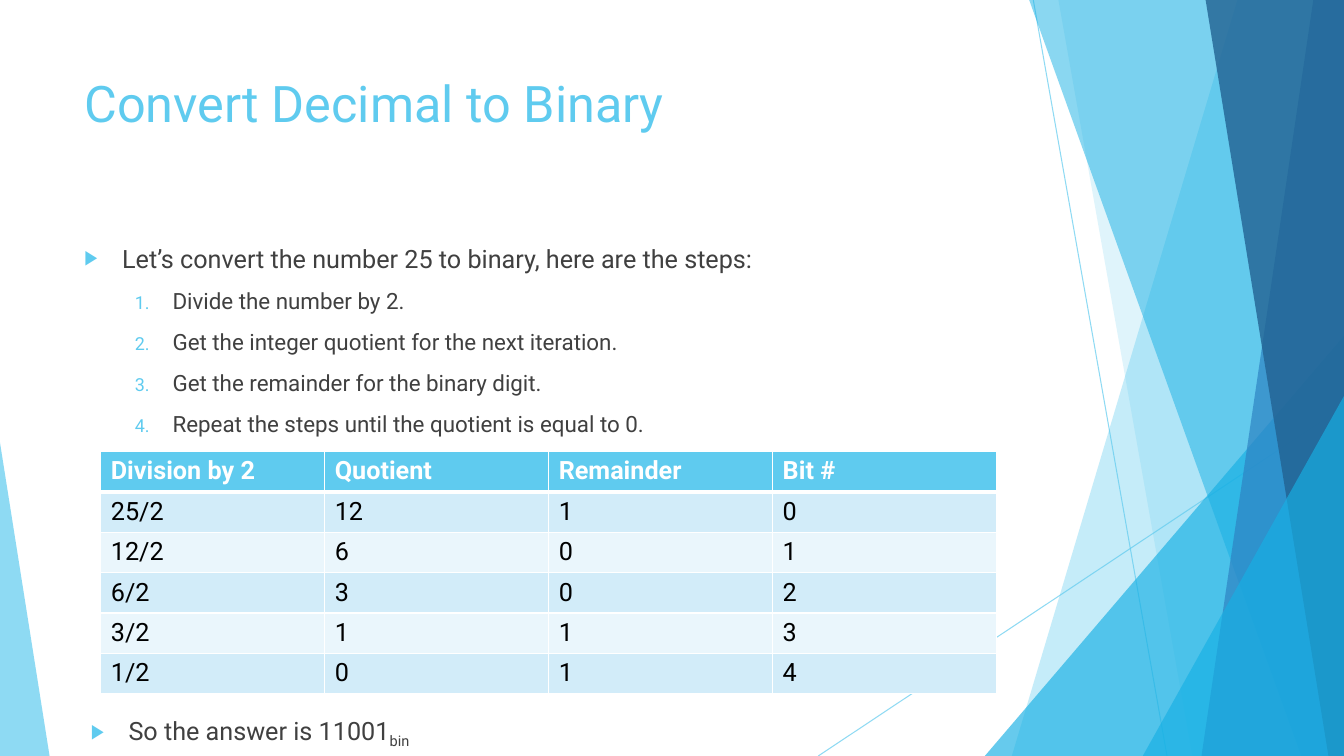
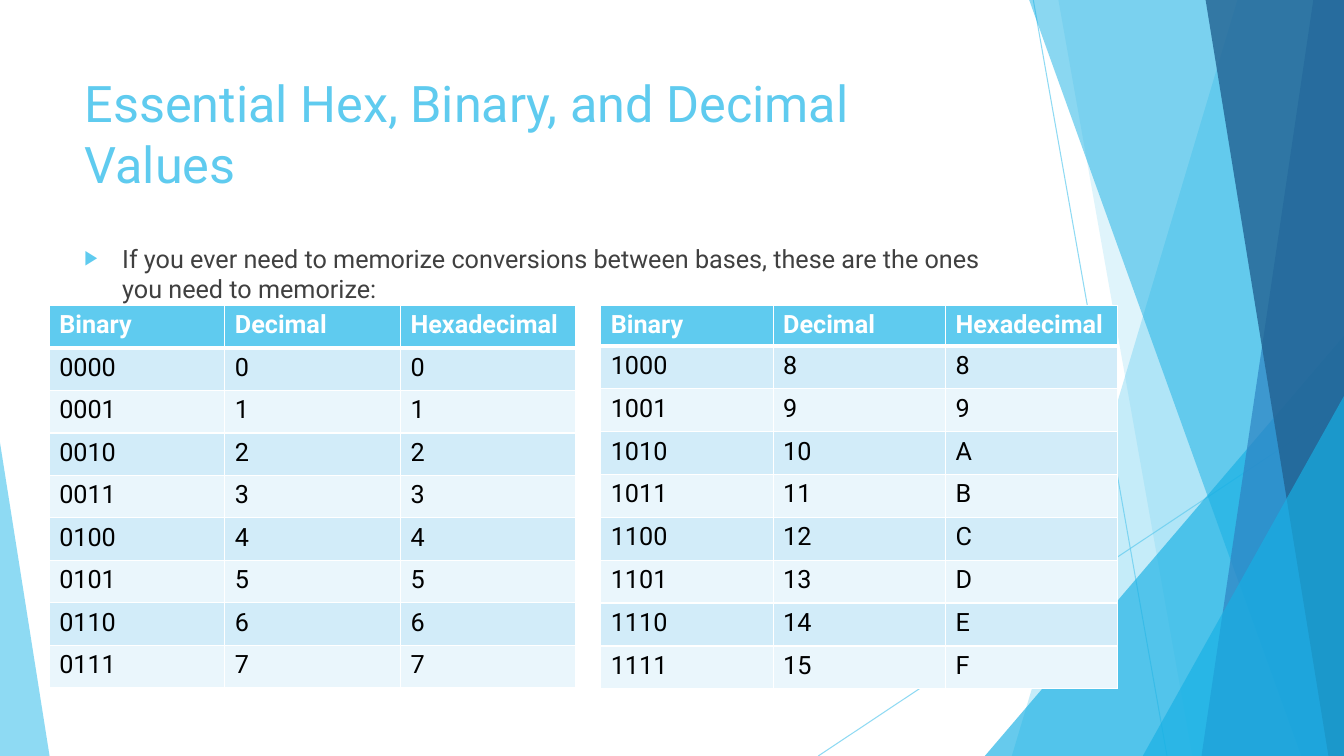
from lxml.etree import SubElement
from pptx import Presentation
from pptx.dml.color import RGBColor as RGB
from pptx.enum.shapes import MSO_CONNECTOR as CONN, MSO_SHAPE as SHAPE
from pptx.oxml.ns import qn
from pptx.util import Cm, Pt

FONT = "Roboto"
WIDTH, HEIGHT = 33.87, 19.05
LEFT, TEXT_WIDTH = 1.88, 23.88
COLORS = {
    "sky": "5FCBEF", "cyan": "17B0E4", "blue": "2E83C3", "navy": "226292",
    "text": "404040", "black": "000000", "white": "FFFFFF",
    "band_dark": "D2ECF9", "band_light": "EAF6FC",
}


def rgb(name):
    """Look up a palette colour."""
    return RGB.from_string(COLORS[name])


def set_alpha(shape, percent):
    """Make every plain colour of a shape partly transparent."""
    for clr in shape.element.iter(qn("a:srgbClr")):
        SubElement(clr, qn("a:alpha"), val=str(percent * 1000))


def style_facet(shape, color, alpha):
    """Give a backdrop shape a translucent fill and no outline."""
    shape.shadow.inherit = False
    shape.fill.solid()
    shape.fill.fore_color.rgb = rgb(color)
    shape.line.fill.background()
    set_alpha(shape, alpha)


def add_ray(s, x1, y1, x2, y2):
    """Draw a thin translucent line."""
    ray = s.shapes.add_connector(CONN.STRAIGHT, Cm(x1), Cm(y1), Cm(x2), Cm(y2))
    ray.line.color.rgb = rgb("sky")
    ray.line.width = Pt(0.75)
    SubElement(ray.element.spPr, qn("a:effectLst"))
    set_alpha(ray, 70)


def add_slab(s, top_x, bottom_x, color, alpha):
    """Fill the area from a slanted edge to the right slide border."""
    top = -0.02
    corners = [(WIDTH, top), (WIDTH, HEIGHT), (bottom_x, HEIGHT)]
    outline = s.shapes.build_freeform(Cm(top_x), Cm(top), scale=1.0)
    outline.add_line_segments([(Cm(x), Cm(y)) for x, y in corners], close=True)
    style_facet(outline.convert_to_shape(), color, alpha)


def add_corner(s, x, y, w, apex, color, alpha):
    """Add a triangle that stands on the bottom border."""
    sp = s.shapes.add_shape(SHAPE.ISOSCELES_TRIANGLE,
                            Cm(x), Cm(y), Cm(w), Cm(HEIGHT - y))
    sp.adjustments[0] = apex
    style_facet(sp, color, alpha)


def add_backdrop(s):
    """Draw the faceted decoration from back to front."""
    add_ray(s, 26.04, 0, 29.41, HEIGHT)
    add_ray(s, WIDTH, 10.24, 20.62, HEIGHT)
    add_slab(s, 31.19, 25.5, "sky", 36)
    add_slab(s, 26.67, 30.05, "sky", 20)
    add_corner(s, 24.82, 8.46, 9.05, 1, "cyan", 66)
    add_slab(s, 25.93, 32.79, "cyan", 50)
    add_slab(s, 33.1, 30.28, "blue", 70)
    add_slab(s, 30.38, 33.48, "navy", 80)
    add_corner(s, 28.8, 9.98, 5.07, 1, "cyan", 66)
    add_corner(s, 0, 11.15, 1.25, 0, "sky", 70)


def add_run(p, text, size, color, bold=False):
    """Append a styled run to a paragraph."""
    r = p.add_run()
    r.text = text
    r.font.name, r.font.size, r.font.bold = FONT, Pt(size), bold
    r.font.color.rgb = rgb(color)
    return r


def add_textbox(s, x, y, w, h):
    """Add a wrapping text box and return its text frame."""
    tf = s.shapes.add_textbox(Cm(x), Cm(y), Cm(w), Cm(h)).text_frame
    tf.word_wrap = True
    return tf


def set_bullet(p, margin, numbered=False):
    """Give a paragraph a hanging triangle or number."""
    p.space_before = Pt(10)
    pPr = p._p.get_or_add_pPr()
    pPr.set("marL", str(Cm(margin)))
    pPr.set("indent", str(Cm(-0.95)))
    SubElement(SubElement(pPr, qn("a:buClr")), qn("a:srgbClr"), val=COLORS["sky"])
    SubElement(pPr, qn("a:buSzPct"), val="80000")
    SubElement(pPr, qn("a:buFont"), typeface=FONT)
    if numbered:
        SubElement(pPr, qn("a:buAutoNum"), type="arabicPeriod")
    else:
        SubElement(pPr, qn("a:buChar"), char="▶")


def add_point(s, text, y, h, x=LEFT):
    """Add a text box that opens with a bullet point."""
    tf = add_textbox(s, x, y, TEXT_WIDTH, h)
    p = tf.paragraphs[0]
    set_bullet(p, 0.95)
    add_run(p, text, 18, "text")
    return tf


def add_steps(tf, steps):
    """Append numbered steps below a bullet point."""
    for step in steps:
        p = tf.add_paragraph()
        p.level = 1
        set_bullet(p, 2.22, numbered=True)
        add_run(p, step, 16, "text")


def set_borders(cell, bottom):
    """Draw white borders with the given bottom width in points."""
    tcPr = cell._tc.get_or_add_tcPr()
    for side, width in (("L", 1), ("R", 1), ("T", 1), ("B", bottom)):
        ln = SubElement(tcPr, qn("a:ln" + side), w=str(Pt(width)))
        fill = SubElement(ln, qn("a:solidFill"))
        SubElement(fill, qn("a:srgbClr"), val=COLORS["white"])


def add_grid(s, x, y, w, header, body, row_h, header_h):
    """Add a banded table with equal columns."""
    rows = [header, *body]
    height = header_h + row_h * len(body)
    table = s.shapes.add_table(len(rows), len(header),
                               Cm(x), Cm(y), Cm(w), Cm(height)).table
    for col in table.columns:
        col.width = Cm(w / len(header))
    for i, values in enumerate(rows):
        is_header = i == 0
        table.rows[i].height = Cm(header_h if is_header else row_h)
        band = "sky" if is_header else ("band_light", "band_dark")[i % 2]
        for j, value in enumerate(values):
            cell = table.cell(i, j)
            set_borders(cell, 3 if is_header else 1)
            cell.fill.solid()
            cell.fill.fore_color.rgb = rgb(band)
            add_run(cell.text_frame.paragraphs[0], str(value), 18,
                    "white" if is_header else "black", is_header)


def add_slide(prs, title):
    """Add a slide with the shared backdrop and title."""
    s = prs.slides.add_slide(prs.slide_layouts[6])
    add_backdrop(s)
    tf = add_textbox(s, LEFT, 1.7, TEXT_WIDTH, 3.66)
    add_run(tf.paragraphs[0], title, 36, "sky")
    return s


def division_rows(number):
    """List the repeated divisions by 2 until the quotient is 0."""
    rows = []
    while number:
        quotient, remainder = divmod(number, 2)
        rows.append((f"{number}/2", quotient, remainder, len(rows)))
        number = quotient
    return rows


def base_rows(numbers):
    """List numbers in binary, decimal and hexadecimal."""
    return [(f"{n:04b}", n, f"{n:X}") for n in numbers]


def add_conversion_slide(prs):
    """Build the slide on converting decimal to binary."""
    s = add_slide(prs, "Convert Decimal to Binary")
    tf = add_point(
        s, "Let’s convert the number 25 to binary, here are the steps:", 6, 5.2)
    add_steps(tf, ["Divide the number by 2.",
                   "Get the integer quotient for the next iteration.",
                   "Get the remainder for the binary digit.",
                   "Repeat the steps until the quotient is equal to 0."])
    add_grid(s, 2.54, 11.38, 22.58,
             ("Division by 2", "Quotient", "Remainder", "Bit #"),
             division_rows(25), 1, 1)
    answer = add_point(s, "So the answer is 11001", 17.89, 1.1, x=2.04)
    r = add_run(answer.paragraphs[0], "bin", 18, "text")
    r._r.get_or_add_rPr().set("baseline", "-25000")


def add_values_slide(prs):
    """Build the slide with the values worth memorizing."""
    s = add_slide(prs, "Essential Hex, Binary, and Decimal Values")
    add_point(s, "If you ever need to memorize conversions between bases, "
                 "these are the ones you need to memorize:", 6, 1.7)
    header = ("Binary", "Decimal", "Hexadecimal")
    add_grid(s, 1.24, 7.7, 13.28, header, base_rows(range(8)), 1.07, 1.07)
    add_grid(s, 15.14, 7.7, 13.03, header, base_rows(range(8, 16)), 1.08, 1)


def main():
    """Build and save the presentation."""
    prs = Presentation()
    prs.slide_width, prs.slide_height = Cm(WIDTH), Cm(HEIGHT)
    add_conversion_slide(prs)
    add_values_slide(prs)
    prs.save("out.pptx")


main()
